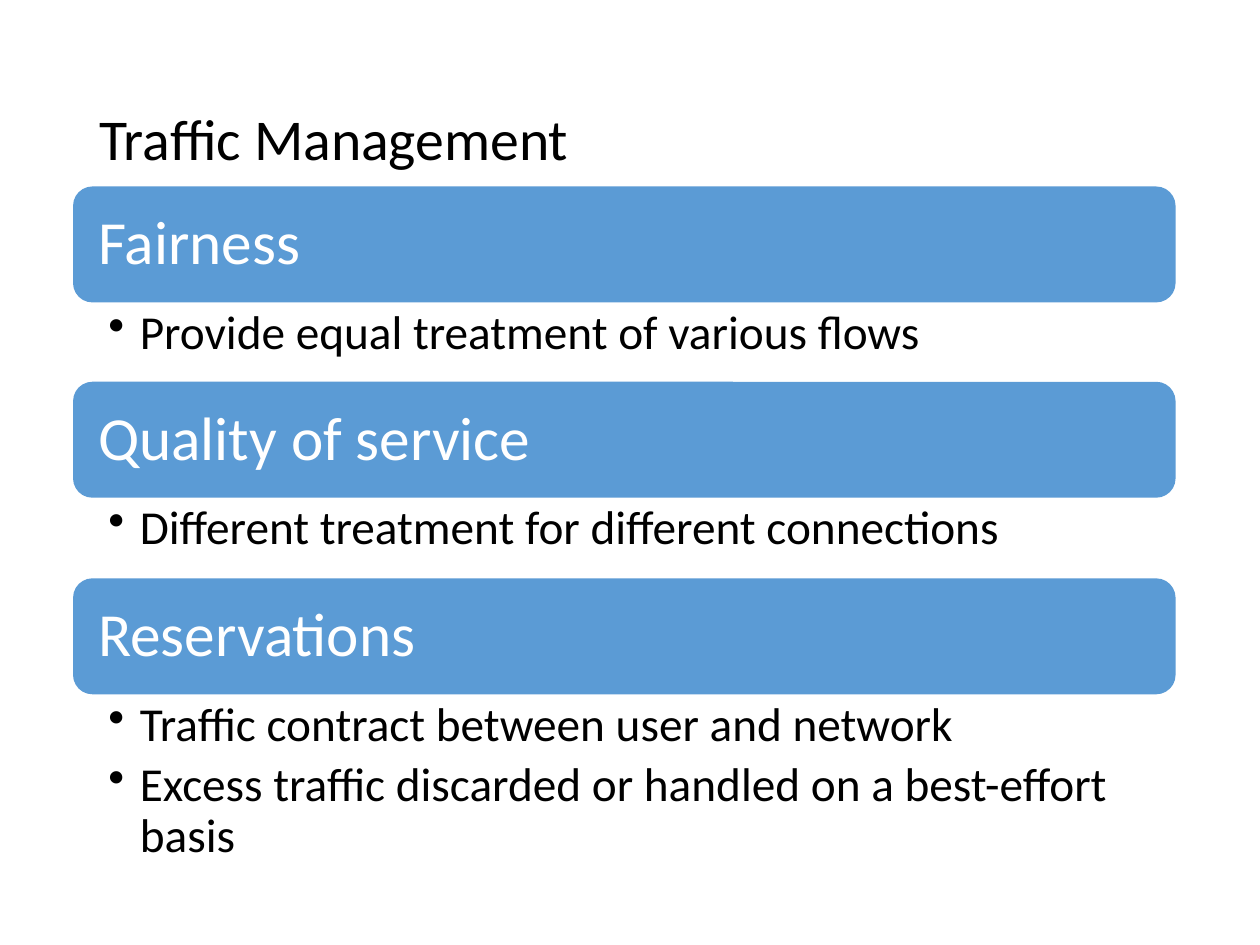
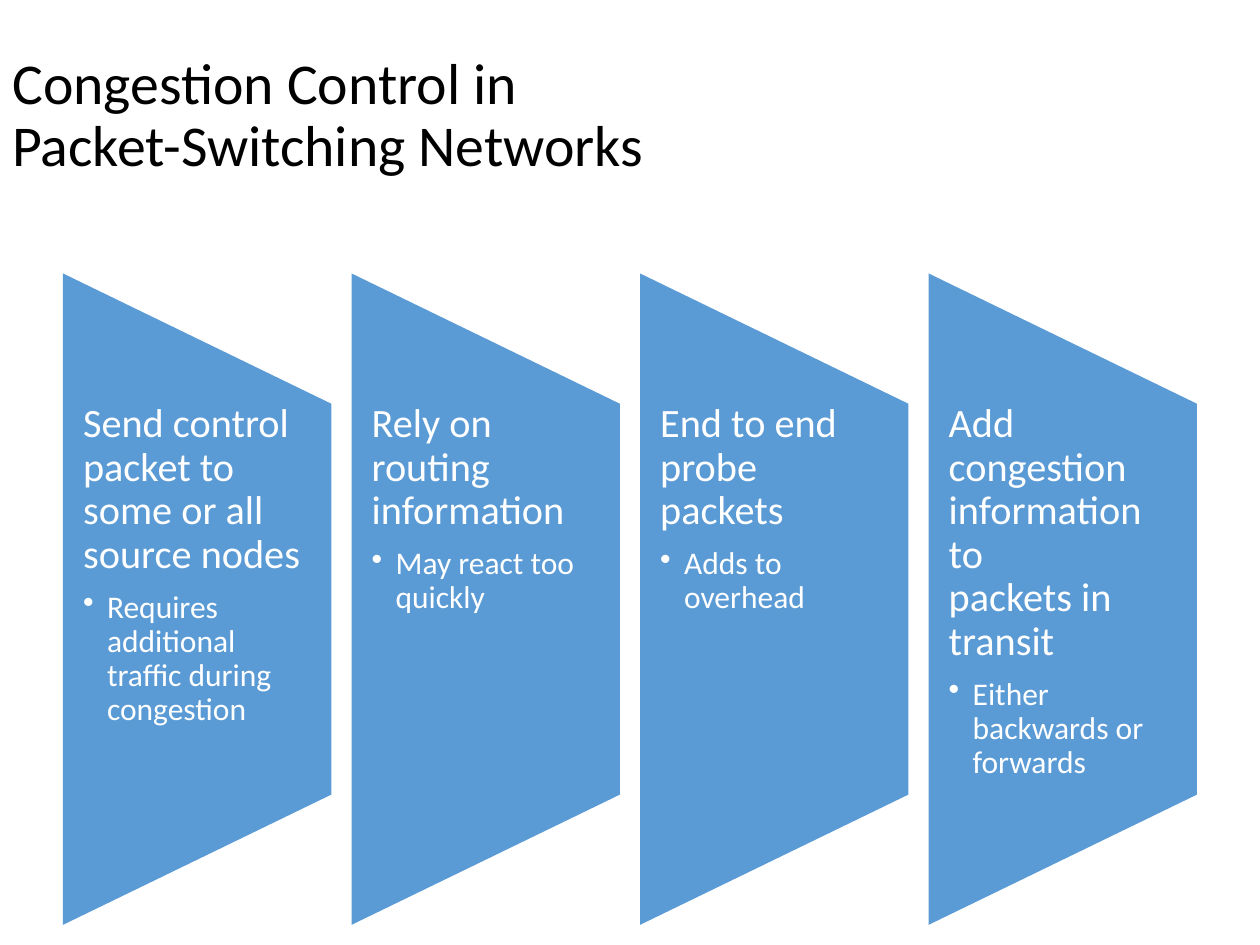
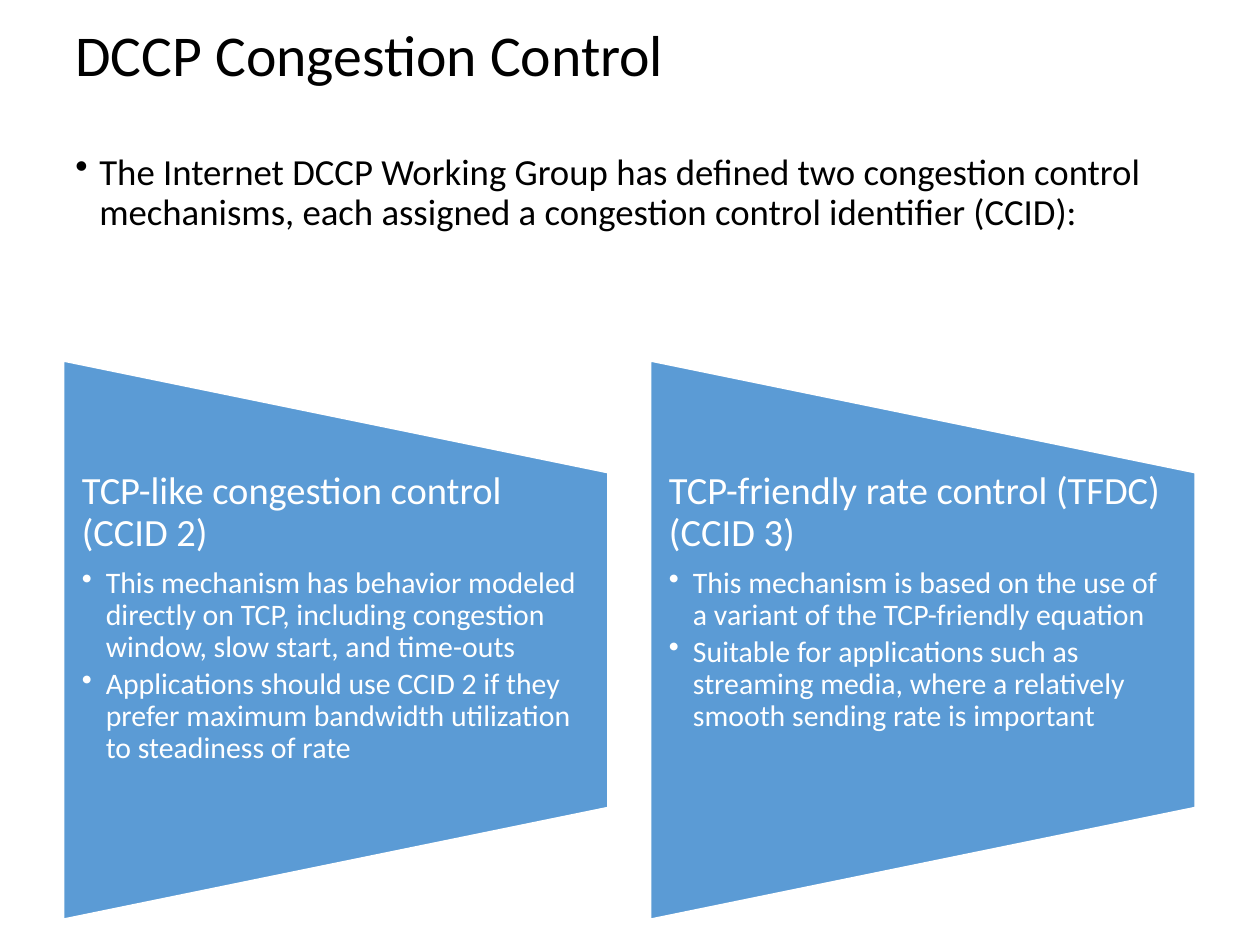
"""Build three slides on traffic management and congestion control."""
import lxml.etree
import pptx
import pptx.dml.color
import pptx.enum.shapes
import pptx.enum.text
import pptx.oxml.ns
import pptx.util

PX = 9144
FONT = "Calibri"
BLACK = pptx.dml.color.RGBColor(0x00, 0x00, 0x00)
WHITE = pptx.dml.color.RGBColor(0xFF, 0xFF, 0xFF)
BLUE = pptx.dml.color.RGBColor(0x5B, 0x9B, 0xD5)
TITLE_SIZE = 33
MIDDLE = pptx.enum.text.MSO_ANCHOR.MIDDLE
TOP = pptx.enum.text.MSO_ANCHOR.TOP
ROUNDED = pptx.enum.shapes.MSO_SHAPE.ROUNDED_RECTANGLE
TRAPEZOID = pptx.enum.shapes.MSO_SHAPE.FLOWCHART_MANUAL_OPERATION


def add_text(slide, box, entries, color, margins=(10, 5), anchor=TOP):
    """Add a text box; each entry is text, size, space after in percent, bullet indent."""
    frame = slide.shapes.add_textbox(*[value * PX for value in box]).text_frame
    frame.word_wrap = True
    frame.vertical_anchor = anchor
    frame.margin_left = frame.margin_right = margins[0] * PX
    frame.margin_top = frame.margin_bottom = margins[1] * PX
    for index, (text, size, space, indent) in enumerate(entries):
        paragraph = frame.add_paragraph() if index else frame.paragraphs[0]
        if indent:
            properties = paragraph._p.get_or_add_pPr()
            properties.set("marL", str(indent * PX))
            properties.set("indent", str(-indent * PX))
            bullet = lxml.etree.SubElement(properties, pptx.oxml.ns.qn("a:buChar"))
            bullet.set("char", "•")
        paragraph.line_spacing = 0.9
        paragraph.space_after = pptx.util.Pt(round(size * space / 100, 1))
        for number, line in enumerate(text.split("\n")):
            if number:
                paragraph.add_line_break()
            run = paragraph.add_run()
            run.text = line
            run.font.name = FONT
            run.font.size = pptx.util.Pt(size)
            run.font.color.rgb = color


def add_block(slide, preset, box, outline=0):
    """Add a blue preset shape, with a white outline if a width is given."""
    shape = slide.shapes.add_shape(preset, *[round(value * PX) for value in box])
    shape.shadow.inherit = False
    shape.fill.solid()
    shape.fill.fore_color.rgb = BLUE
    if outline:
        shape.line.color.rgb = WHITE
        shape.line.width = pptx.util.Pt(outline)
    else:
        shape.line.fill.background()
    return shape


presentation = pptx.Presentation()
presentation.slide_width = 1000 * PX
presentation.slide_height = 750 * PX

titles = [
    ("Traffic Management", (69, 40, 862, 145)),
    ("Congestion Control in\nPacket-Switching Networks", (0, 30, 1000, 125)),
    ("DCCP Congestion Control", (50, -17, 900, 125)),
]
slides = []
for title, box in titles:
    slide = presentation.slides.add_slide(presentation.slide_layouts[6])
    add_text(slide, box, [(title, TITLE_SIZE, 0, 0)], BLACK, anchor=MIDDLE)
    slides.append(slide)
goals_slide, methods_slide, dccp_slide = slides

goals = [
    ("Fairness", ["Provide equal treatment of various flows"], 63),
    ("Quality of service", ["Different treatment for different connections"], 63),
    ("Reservations", ["Traffic contract between user and network",
                      "Excess traffic discarded or handled on a best-effort basis"], 143),
]
for index, (heading, points, height) in enumerate(goals):
    top = 148 + index * 311 // 2
    add_block(goals_slide, ROUNDED, (58, top, 875, 92))
    add_text(goals_slide, (63, top + 5, 866, 83), [(heading, 35, 35, 0)], WHITE, (15, 15), MIDDLE)
    add_text(goals_slide, (58, top + 92, 875, height),
             [(point, 27, 20, 25) for point in points], BLACK, (28, 5))

add_text(dccp_slide, (50, 117, 900, 150), [(
    "The Internet DCCP Working Group has defined two congestion control mechanisms, "
    "each assigned a congestion control identifier (CCID):", 21, 0, 19)], BLACK)

methods = [
    ("Send control packet to some or all source nodes",
     ["Requires additional traffic during congestion"]),
    ("Rely on routing information", ["May react too quickly"]),
    ("End to end probe packets", ["Adds to overhead"]),
    ("Add congestion information to\npackets in transit", ["Either backwards or forwards"]),
]
mechanisms = [
    ("TCP-like congestion control (CCID 2)",
     ["This mechanism has behavior modeled directly on TCP, including congestion window, "
      "slow start, and time-outs",
      "Applications should use CCID 2 if they prefer maximum bandwidth utilization "
      "to steadiness of rate"]),
    ("TCP-friendly rate control (TFDC) (CCID 3)",
     ["This mechanism is based on the use of a variant of the TCP-friendly equation",
      "Suitable for applications such as streaming media, where a relatively smooth "
      "sending rate is important"]),
]
panel_rows = [
    (methods_slide, methods, 217, 213, 517, 229, 23, 18, 16, 0),
    (dccp_slide, mechanisms, 286, 433, 444, 466, 22, 17, 15, 1.5),
]
for slide, panels, top, width, height, step, heading_size, point_size, margin, outline in panel_rows:
    for index, (heading, points) in enumerate(panels):
        left = 50 + index * step
        shift = (height - width) / 2
        panel = add_block(slide, TRAPEZOID, (left - shift, top + shift, height, width), outline)
        panel.rotation = 270
        entries = [(heading, heading_size, 35, 0)]
        entries += [(point, point_size, 15, 19) for point in points]
        add_text(slide, (left, top + height // 5, width, height * 3 // 5),
                 entries, WHITE, (margin, 0))

presentation.save("out.pptx")
